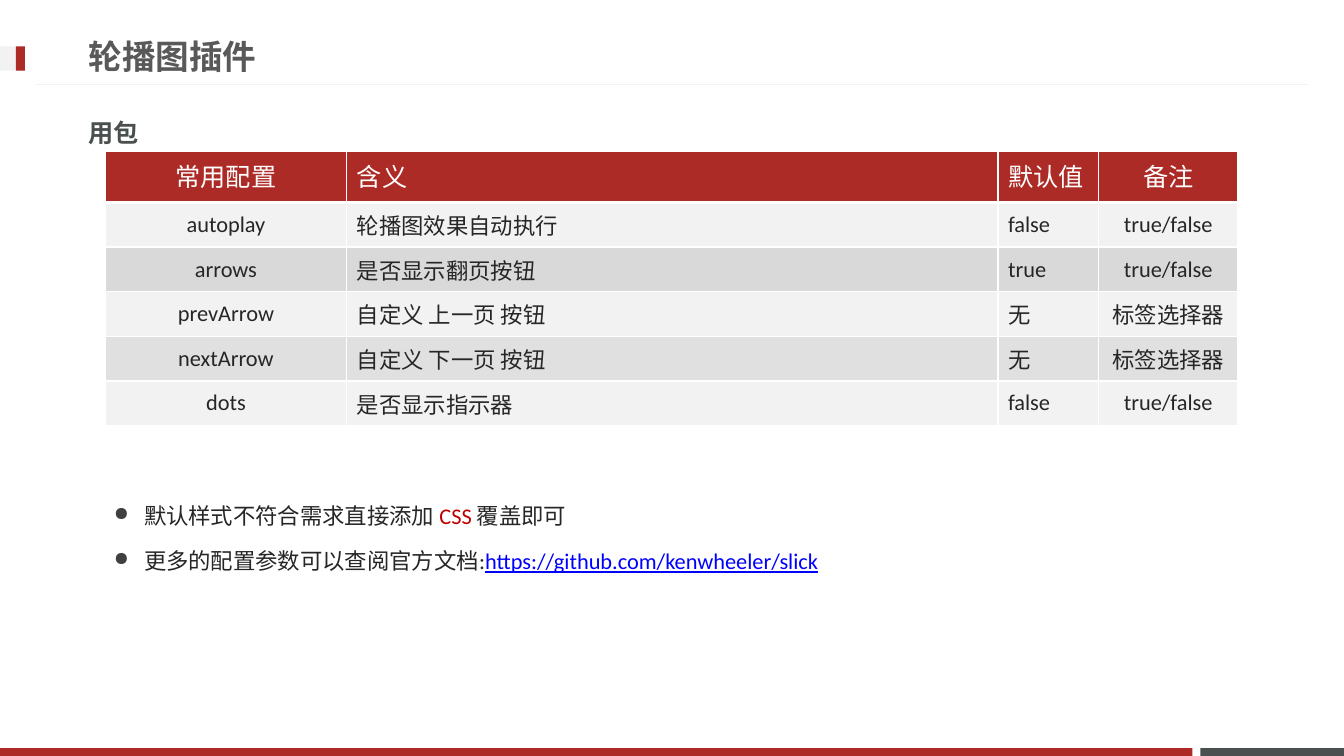
from lxml.etree import SubElement
from pptx import Presentation
from pptx.dml.color import RGBColor
from pptx.enum.shapes import MSO_CONNECTOR, MSO_SHAPE
from pptx.enum.text import MSO_ANCHOR, PP_ALIGN
from pptx.oxml import parse_xml
from pptx.oxml.ns import nsdecls, qn
from pptx.util import Cm, Pt

RED = RGBColor(0xAD, 0x2B, 0x26)
SLATE = RGBColor(0x49, 0x50, 0x4F)
PALE = RGBColor(0xF2, 0xF2, 0xF2)
SILVER = RGBColor(0xD9, 0xD9, 0xD9)
WHITE = RGBColor(0xFF, 0xFF, 0xFF)
TITLE_GREY = RGBColor(0x59, 0x59, 0x59)
INK = RGBColor(0x26, 0x26, 0x26)
ACCENT = RGBColor(0xC0, 0x00, 0x00)
LINK_BLUE = RGBColor(0x00, 0x00, 0xFF)
CJK = "Noto Sans CJK JP"


def add_span(para, text, size, color, bold=False, name="Calibri"):
    span = para.add_run()
    span.text = text
    span.font.size = Pt(size)
    span.font.bold = bold
    span.font.color.rgb = color
    span.font.name = name
    SubElement(span.font._element, qn("a:ea"), typeface=CJK)
    return span


def add_frame(left, top, width, height, anchor):
    """Add a wrapping text box and return its text frame."""
    frame = page.shapes.add_textbox(Cm(left), Cm(top), Cm(width), Cm(height)).text_frame
    frame.word_wrap = True
    frame.vertical_anchor = anchor
    return frame


deck = Presentation()
deck.slide_width, deck.slide_height = Cm(33.87), Cm(19.05)
page = deck.slides.add_slide(deck.slide_layouts[6])

# Footer bars and title marker
for left, top, width, height, color in (
    (30.25, 18.85, 3.62, 0.2, SLATE),
    (0, 18.85, 30.05, 0.2, RED),
    (0, 1.17, 0.63, 0.61, PALE),
    (0.4, 1.17, 0.23, 0.61, RED),
):
    bar = page.shapes.add_shape(MSO_SHAPE.RECTANGLE, Cm(left), Cm(top), Cm(width), Cm(height))
    bar.shadow.inherit = False
    bar.fill.solid()
    bar.fill.fore_color.rgb = color
    bar.line.fill.background()

rule = page.shapes.add_connector(MSO_CONNECTOR.STRAIGHT, Cm(32.97), Cm(2.13), Cm(0.9), Cm(2.13))
rule.line.color.rgb = PALE
rule.line.width = Pt(0.75)
SubElement(rule._element.spPr, qn("a:effectLst"))

# Headings
title = add_frame(1.98, 0.69, 24.36, 1.45, MSO_ANCHOR.MIDDLE)
add_span(title.paragraphs[0], "轮播图插件", 24, TITLE_GREY, bold=True)
subtitle = add_frame(1.98, 2.62, 29.87, 1.45, MSO_ANCHOR.MIDDLE)
add_span(subtitle.paragraphs[0], "用包", 18, SLATE, bold=True, name=CJK)

# Options table
option_rows = (
    ("常用配置", "含义", "默认值", "备注"),
    ("autoplay", "轮播图效果自动执行", "false", "true/false"),
    ("arrows", "是否显示翻页按钮", "true", "true/false"),
    ("prevArrow", "自定义 上一页 按钮", "无", "标签选择器"),
    ("nextArrow", "自定义 下一页 按钮", "无", "标签选择器"),
    ("dots", "是否显示指示器", "false", "true/false"),
)
row_fills = (RED, PALE, SILVER, PALE, SILVER, PALE)
TRANSLUCENT_ROW = 4
column_widths = (6.09, 16.41, 2.54, 3.5)
options = page.shapes.add_table(
    len(option_rows), len(column_widths), Cm(2.65), Cm(3.82), Cm(28.54), Cm(6.91)
).table
for column, width in zip(options.columns, column_widths):
    column.width = Cm(width)

for row_index, texts in enumerate(option_rows):
    is_header = row_index == 0
    options.rows[row_index].height = Cm(1.28 if is_header else 1.126)
    for column_index, text in enumerate(texts):
        cell = options.cell(row_index, column_index)
        cell.vertical_anchor = MSO_ANCHOR.MIDDLE
        cell.fill.solid()
        cell.fill.fore_color.rgb = row_fills[row_index]
        cell_props = cell._tc.get_or_add_tcPr()
        if row_index == TRANSLUCENT_ROW:
            SubElement(cell_props.find(".//" + qn("a:srgbClr")), qn("a:alpha"), val="80000")
        border_widths = {
            "lnL": 1,
            "lnR": 1,
            "lnT": 3 if row_index == 1 else 1,
            "lnB": 3 if is_header else 1,
        }
        for position, (edge, width) in enumerate(border_widths.items()):
            cell_props.insert(position, parse_xml(
                f'<a:{edge} {nsdecls("a")} w="{Pt(width)}"><a:solidFill>'
                f'<a:srgbClr val="{WHITE}"/></a:solidFill></a:{edge}>'
            ))
        para = cell.text_frame.paragraphs[0]
        para.alignment = PP_ALIGN.CENTER if column_index in (0, 3) else PP_ALIGN.LEFT
        if is_header:
            para.line_spacing = Pt(24)
        add_span(para, text, 18 if is_header else 16, WHITE if is_header else INK)

# Notes under the table
remarks = (
    (("默认样式不符合需求直接添加 ", INK), ("CSS ", ACCENT), ("覆盖即可", INK)),
    (("更多的配置参数可以查阅官方文档:", INK), ("https://github.com/kenwheeler/slick", LINK_BLUE)),
)
remark_frame = add_frame(2.62, 12.19, 29.87, 5.99, MSO_ANCHOR.TOP)
for index, spans in enumerate(remarks):
    para = remark_frame.paragraphs[0] if index == 0 else remark_frame.add_paragraph()
    para.line_spacing = 1.5
    para.space_before = Pt(3.2 if index else 0)
    para_props = para._p.get_or_add_pPr()
    para_props.set("marL", str(Cm(0.76)))
    para_props.set("indent", str(-Cm(0.76)))
    bullet_color = SubElement(para_props, qn("a:buClr"))
    SubElement(bullet_color, qn("a:srgbClr"), val="404040")
    SubElement(para_props, qn("a:buSzPct"), val="85000")
    SubElement(para_props, qn("a:buChar"), char="●")
    for text, color in spans:
        span = add_span(para, text, 16, color)
        if color == LINK_BLUE:
            span.font.underline = True

deck.save("out.pptx")
